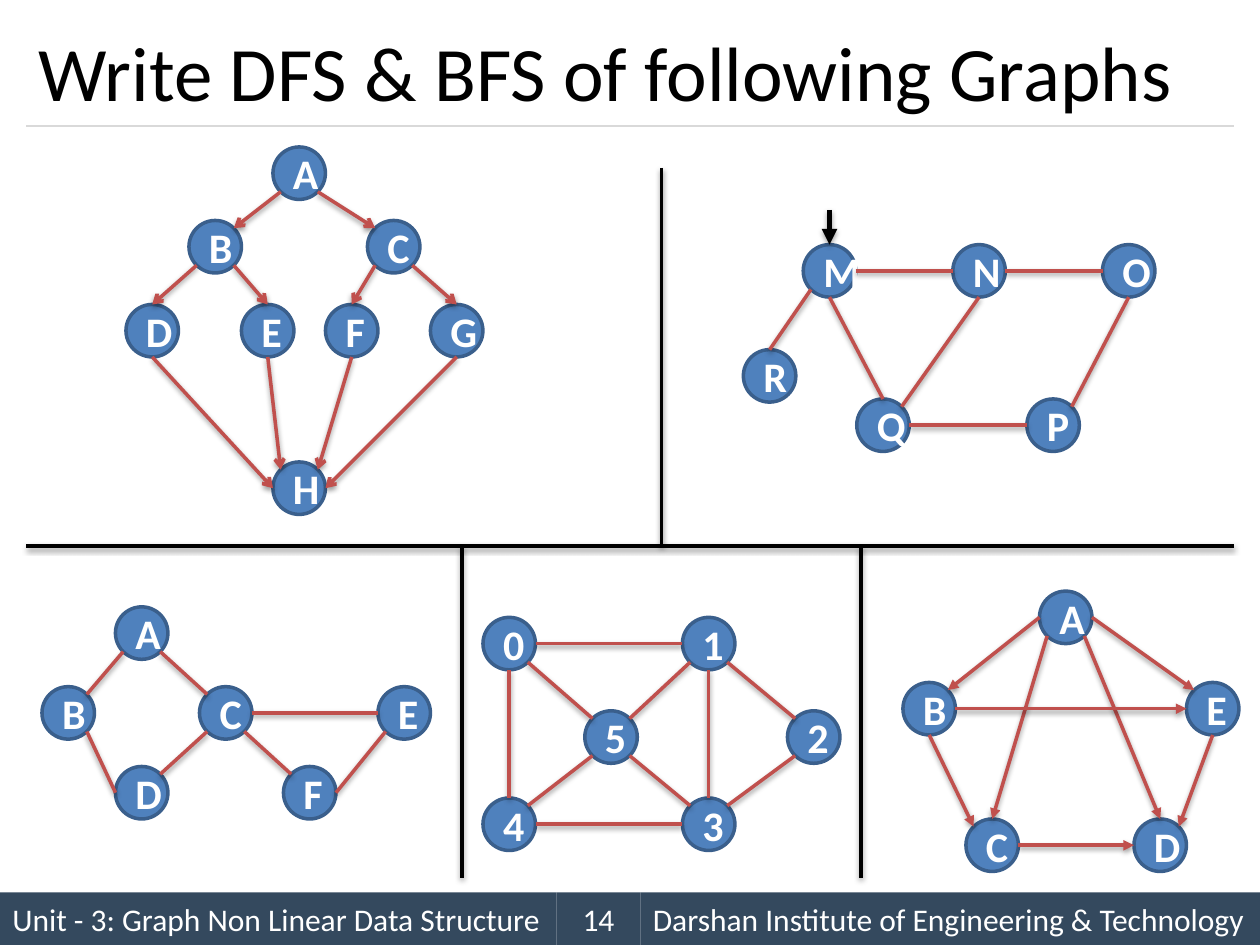
"""Build a slide of five practice graphs for depth-first and breadth-first search."""
from lxml import etree
from pptx import Presentation, util as u
from pptx.dml.color import RGBColor
from pptx.enum import shapes, text
from pptx.oxml import ns

WHITE = RGBColor(0xFF, 0xFF, 0xFF)
BLACK = RGBColor(0x00, 0x00, 0x00)
SLATE = RGBColor(0x34, 0x49, 0x5E)
BLUE = RGBColor(0x4F, 0x81, 0xBD)
DARK_BLUE = RGBColor(0x3A, 0x5F, 0x8C)
RED = RGBColor(0xC0, 0x50, 0x4D)
GRAY = RGBColor(0xD9, 0xD9, 0xD9)

COLUMNS, ROWS = 120, 90
NODE = 5
DIAGONAL = 0.5 ** 0.5
COMPASS = {
    "n": (0, -1), "ne": (DIAGONAL, -DIAGONAL), "e": (1, 0), "se": (DIAGONAL, DIAGONAL),
    "s": (0, 1), "sw": (-DIAGONAL, DIAGONAL), "w": (-1, 0), "nw": (-DIAGONAL, -DIAGONAL),
}

presentation = Presentation()
presentation.slide_width, presentation.slide_height = u.Inches(10), u.Inches(7.5)
slide = presentation.slides.add_slide(presentation.slide_layouts[6])
CELL = presentation.slide_width / COLUMNS


def write(shape, words, size, color, align, bold=False):
    frame = shape.text_frame
    frame.text = words
    frame.word_wrap = True
    frame.vertical_anchor = text.MSO_ANCHOR.MIDDLE
    paragraph = frame.paragraphs[0]
    paragraph.alignment = align
    font = paragraph.runs[0].font
    font.name, font.size, font.bold = "Calibri", u.Pt(size), bold
    font.color.rgb = color


def draw_line(start, end, color, width, head=None, shadow=True):
    ends = [round(value * CELL) for value in (*start, *end)]
    line = slide.shapes.add_connector(shapes.MSO_CONNECTOR.STRAIGHT, *ends)
    line.line.color.rgb = color
    line.line.width = u.Pt(width)
    if head:
        etree.SubElement(line.line._get_or_add_ln(), ns.qn("a:tailEnd"), type=head)
    effects = etree.SubElement(line._element.spPr, ns.qn("a:effectLst"))
    if shadow:
        outer = etree.SubElement(effects, ns.qn("a:outerShdw"), blurRad=str(u.Pt(3.1)),
                                 dist=str(u.Pt(1.6)), dir="5400000", rotWithShape="0")
        tint = etree.SubElement(outer, ns.qn("a:srgbClr"), val=str(BLACK))
        etree.SubElement(tint, ns.qn("a:alpha"), val="38000")


footer = [
    (0, 53, "Unit - 3: Graph Non Linear Data Structure", text.PP_ALIGN.LEFT),
    (53, 8, "14", text.PP_ALIGN.CENTER),
    (61, 59, "Darshan Institute of Engineering & Technology", text.PP_ALIGN.LEFT),
]
for column, span, words, align in footer:
    box = [round(value * CELL) for value in (column, ROWS - 5, span, 5)]
    panel = slide.shapes.add_shape(shapes.MSO_SHAPE.RECTANGLE, *box)
    panel.shadow.inherit = False
    panel.fill.solid()
    panel.fill.fore_color.rgb = SLATE
    panel.line.fill.background()
    write(panel, words, 18, WHITE, align)

draw_line((2.5, 12), (117.5, 12), GRAY, 0.75, shadow=False)
title = slide.shapes.add_textbox(*[round(value * CELL) for value in (2.5, 1.5, 115, 10.5)])
write(title, "Write DFS & BFS of following Graphs", 44, BLACK, text.PP_ALIGN.LEFT)

dividers = [
    ((2.5, 52), (117.5, 52)), ((63, 16), (63, 52)),
    ((44, 52), (44, 83.6)), ((82, 52), (82, 83.6)),
]
for start, end in dividers:
    draw_line(start, end, BLACK, 2)

graphs = [
    ("arrow",
     {"A": (26, 14), "B": (18, 21), "C": (35, 21), "D": (12, 29),
      "E": (23, 29), "F": (31, 29), "G": (41, 29), "H": (26, 44)},
     ["A sw B ne", "A se C nw", "B sw D n", "B se E n", "C sw F n", "C se G n",
      "D s H w", "E s H nw", "F s H ne", "G s H e"]),
    (None,
     {"R": (70.8, 33.3), "M": (76.5, 23.3), "Q": (81.6, 38),
      "N": (90.75, 23.3), "P": (97.8, 38), "O": (105, 23.3)},
     ["M sw R n", "M e N w", "M s Q n", "N s Q ne", "O s P ne", "Q e P w", "N e O w"]),
    (None,
     {"A": (11, 57.8), "B": (4, 65.4), "C": (19, 65.4),
      "D": (11, 73), "E": (36, 65.4), "F": (27, 73)},
     ["A sw B ne", "A se C nw", "B se D w", "D ne C sw", "C e E w", "C se F nw", "E sw F e"]),
    (None,
     {"0": (46, 58.8), "1": (65, 58.8), "4": (46, 76),
      "3": (65, 76), "5": (55.7, 67.7), "2": (75, 67.7)},
     ["0 e 1 w", "0 s 4 n", "4 e 3 w", "1 s 3 n", "0 se 5 nw", "5 se 3 nw",
      "4 ne 5 sw", "5 ne 1 sw", "1 se 2 nw", "2 sw 3 ne"]),
    ("triangle",
     {"A": (99, 56.3), "B": (86, 65), "C": (92, 78), "D": (108, 78), "E": (113, 65)},
     ["A w B ne", "A e E nw", "B s C nw", "E s D ne", "A sw C n", "A se D n",
      "B e E w", "C e D w"]),
]
for head, nodes, edges in graphs:
    for label, (column, row) in nodes.items():
        box = [round(value * CELL) for value in (column, row, NODE, NODE)]
        node = slide.shapes.add_shape(shapes.MSO_SHAPE.OVAL, *box)
        node.shadow.inherit = False
        node.fill.solid()
        node.fill.fore_color.rgb = BLUE
        node.line.color.rgb = DARK_BLUE
        node.line.width = u.Pt(2)
        write(node, label, 24, WHITE, text.PP_ALIGN.CENTER, bold=True)
    for edge in edges:
        source, exit_side, target, entry_side = edge.split()
        start, end = [
            [corner + NODE / 2 * (1 + step) for corner, step in zip(nodes[label], COMPASS[side])]
            for label, side in ((source, exit_side), (target, entry_side))
        ]
        draw_line(start, end, RED, 2, head)

draw_line((79, 20), (79, 23.3), BLACK, 3, "triangle")

presentation.save("out.pptx")
